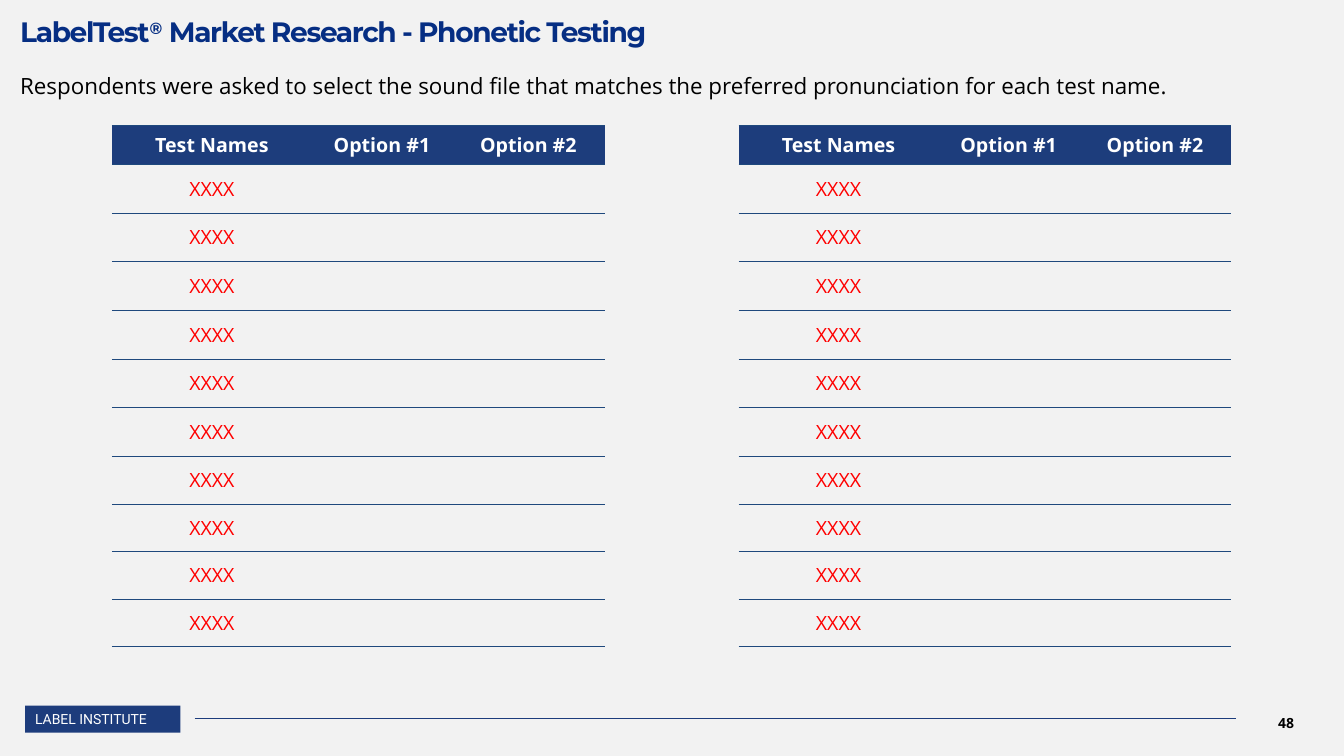
import pptx
import pptx.dml.color
import pptx.enum.shapes
import pptx.enum.text
import pptx.oxml
import pptx.oxml.ns
import pptx.util
from lxml import etree

Pt = pptx.util.Pt
ALIGN = pptx.enum.text.PP_ALIGN
ANCHOR = pptx.enum.text.MSO_ANCHOR

COLORS = {
    "background": "F2F2F2",
    "footer": "1D3C7C",
    "header": "1D3D7C",
    "rule": "1F497D",
    "title": "062E83",
    "name": "FF0000",
    "white": "FFFFFF",
    "black": "000000",
}
HEADINGS = ["Test Names", "Option #1", "Option #2"]
TEST_NAMES = ["XXXX"] * 10
COLUMN_WIDTHS = [142.8, 100.2, 109]
ROW_HEIGHTS = [28] + [34.8] * 6 + [34] * 4


def rgb(key):
    return pptx.dml.color.RGBColor.from_string(COLORS[key])


def style(font, face, size, color, bold=False):
    font.name = face
    font.size = Pt(size)
    font.bold = bold
    font.color.rgb = rgb(color)


def set_insets(holder, left, top, right, bottom):
    holder.margin_left, holder.margin_top = Pt(left), Pt(top)
    holder.margin_right, holder.margin_bottom = Pt(right), Pt(bottom)


def add_text_box(slide, box, anchor=ANCHOR.TOP):
    frame = slide.shapes.add_textbox(*map(Pt, box)).text_frame
    frame.word_wrap = True
    frame.vertical_anchor = anchor
    return frame


def set_borders(cell, top, bottom):
    """Rules above and below as asked, none at the sides."""
    properties = cell._tc.get_or_add_tcPr()
    sides = [("lnL", False), ("lnR", False), ("lnT", top), ("lnB", bottom)]
    for position, (tag, visible) in enumerate(sides):
        paint = (f'<a:solidFill><a:srgbClr val="{COLORS["rule"]}"/></a:solidFill>'
                 if visible else "<a:noFill/>")
        border = pptx.oxml.parse_xml(
            f'<a:{tag} {pptx.oxml.ns.nsdecls("a")} w="{Pt(0.5)}">{paint}</a:{tag}>')
        properties.insert(position, border)


# Title and question
def add_heading(slide, left, top, width):
    title = add_text_box(slide, (left, top, width, 34.6))
    set_insets(title, 0, 15.1, 0, 0)
    line = title.paragraphs[0]
    line.line_spacing = 0.8
    for words, baseline in [("LabelTest", 0), ("®", 30000),
                            (" Market Research - Phonetic Testing", 0)]:
        run = line.add_run()
        run.text = words
        style(run.font, "Montserrat", 20, "title", bold=True)
        run_properties = run._r.get_or_add_rPr()
        run_properties.set("spc", "-100")
        run_properties.set("baseline", str(baseline))

    question = add_text_box(slide, (left, top + 47.5, width, 22.3), ANCHOR.MIDDLE)
    set_insets(question, 0, 0, 0, 0)
    question.text = ("Respondents were asked to select the sound file that matches "
                     "the preferred pronunciation for each test name.")
    question.paragraphs[0].line_spacing = 1.25
    style(question.paragraphs[0].runs[0].font, "Open Sans", 16, "black")


# Table of test names against pronunciation options
def add_options_table(slide, left, top):
    table = slide.shapes.add_table(
        len(ROW_HEIGHTS), len(COLUMN_WIDTHS), Pt(left), Pt(top),
        Pt(sum(COLUMN_WIDTHS)), Pt(sum(ROW_HEIGHTS))).table
    table.first_row = True
    table.horz_banding = False
    for column, width in zip(table.columns, COLUMN_WIDTHS):
        column.width = Pt(width)
    for row, height in zip(table.rows, ROW_HEIGHTS):
        row.height = Pt(height)

    contents = [HEADINGS] + [[name, "", ""] for name in TEST_NAMES]
    for row_number, row_words in enumerate(contents):
        is_header = row_number == 0
        for column_number, words in enumerate(row_words):
            cell = table.cell(row_number, column_number)
            cell.fill.solid()
            cell.fill.fore_color.rgb = rgb("header" if is_header else "background")
            set_borders(cell, top=True, bottom=True)
            cell.vertical_anchor = ANCHOR.MIDDLE
            if is_header:
                set_insets(cell, 0.7, 0.7, 0.7, 0)
            if words:
                cell.text = words
                paragraph = cell.text_frame.paragraphs[0]
                paragraph.alignment = ALIGN.CENTER
                style(paragraph.runs[0].font, "Open Sans", 14,
                      "white" if is_header else "name", bold=is_header)


# Footer: company tag, rule, page number
def add_footer(slide, left, top):
    tag = slide.shapes.add_shape(pptx.enum.shapes.MSO_SHAPE.RECTANGLE,
                                 Pt(left), Pt(top), Pt(110.9), Pt(19.4))
    tag.shadow.inherit = False
    tag.fill.solid()
    tag.fill.fore_color.rgb = rgb("footer")
    tag.line.fill.background()
    tag.text_frame.word_wrap = True
    tag.text_frame.vertical_anchor = ANCHOR.MIDDLE
    tag.text_frame.text = "LABEL INSTITUTE"
    tag_line = tag.text_frame.paragraphs[0]
    tag_line.alignment = ALIGN.LEFT
    style(tag_line.runs[0].font, "Roboto", 10, "white")

    rule = slide.shapes.add_connector(
        pptx.enum.shapes.MSO_CONNECTOR.STRAIGHT,
        Pt(left + 121), Pt(top + 8.8), Pt(left + 864.7), Pt(top + 8.8))
    rule.line.color.rgb = rgb("footer")
    rule.line.width = Pt(0.5)
    etree.SubElement(rule._element.spPr, pptx.oxml.ns.qn("a:effectLst"))

    page = add_text_box(slide, (left + 861.1, top - 2.2, 79.2, 28.8), ANCHOR.MIDDLE)
    page.text = "48"
    page.paragraphs[0].alignment = ALIGN.CENTER
    style(page.paragraphs[0].runs[0].font, "Open Sans", 10, "black", bold=True)


def main():
    deck = pptx.Presentation()
    deck.slide_width, deck.slide_height = Pt(960), Pt(540)
    slide = deck.slides.add_slide(deck.slide_layouts[6])
    slide.background.fill.solid()
    slide.background.fill.fore_color.rgb = rgb("background")

    add_footer(slide, 18, 504)
    add_heading(slide, 14.4, 0, 923)
    for table_left in (80, 527.6):
        add_options_table(slide, table_left, 89.3)

    deck.save("out.pptx")


if __name__ == "__main__":
    main()
